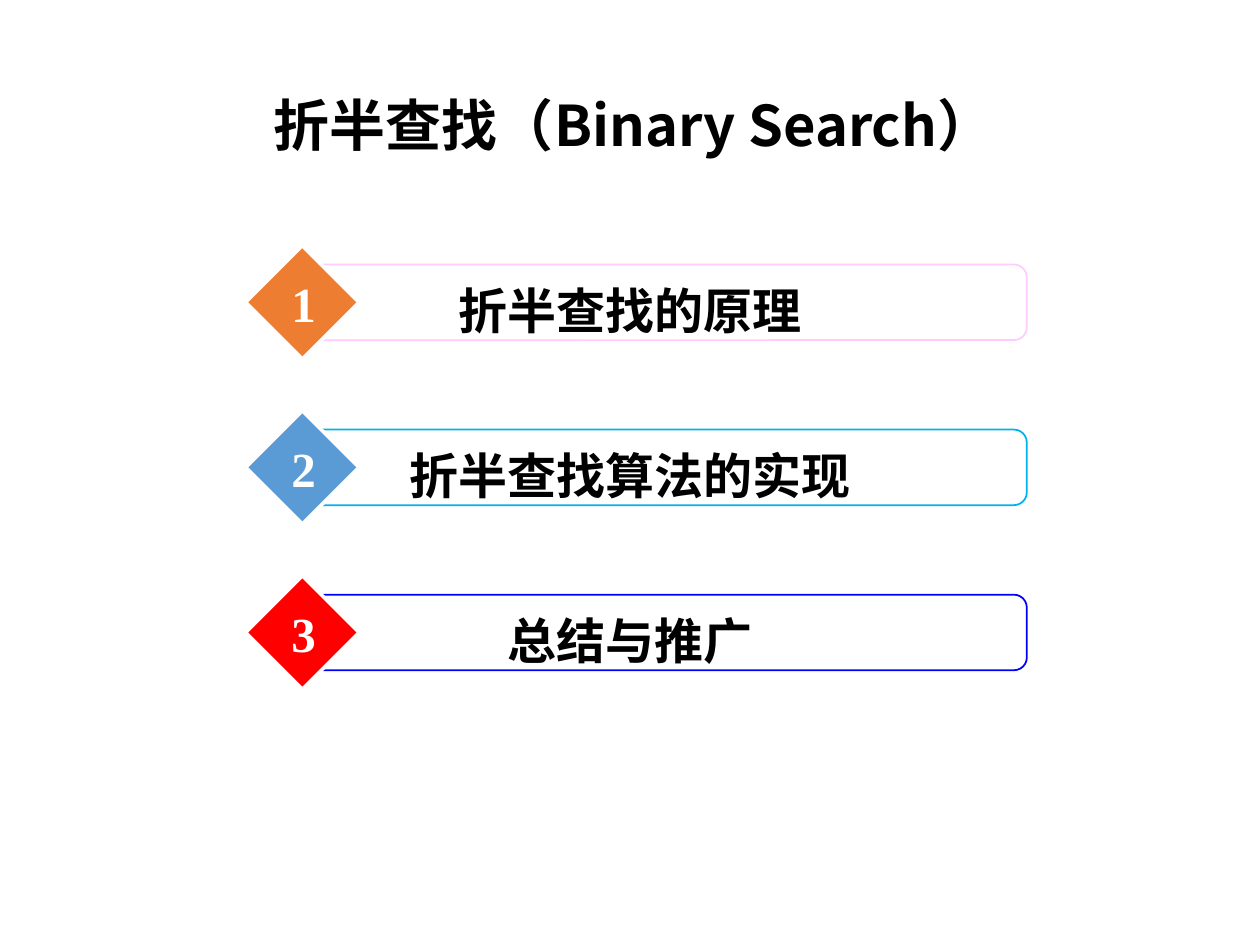
from pptx import Presentation, util as u
from pptx.dml.color import RGBColor
from pptx.enum import shapes, text
from pptx.oxml.ns import qn

COLORS = {"ink": "000000", "paper": "FFFFFF",
          "orange": "ED7D31", "pink": "FFCCFF",
          "blue": "5B9BD5", "sky": "00B0F0",
          "red": "FF0000", "navy": "0000FF"}
CJK, SERIF = "Noto Sans CJK SC", "Times New Roman"
TOPICS = [("折半查找的原理", "orange", "pink"),
          ("折半查找算法的实现", "blue", "sky"),
          ("总结与推广", "red", "navy")]


def rgb(name):
    """Return the named palette colour."""
    return RGBColor.from_string(COLORS[name])


def write(frame, words, size, face, color):
    """Write one centred bold run into a text frame."""
    line = frame.paragraphs[0]
    line.alignment = text.PP_ALIGN.CENTER
    run = line.add_run()
    run.text = words
    run.font.size, run.font.bold, run.font.name = u.Pt(size), True, face
    run.font.color.rgb = rgb(color)
    east_asian = run.font._element.makeelement(qn("a:ea"), {"typeface": CJK})
    run.font._element.find(qn("a:latin")).addnext(east_asian)
    return line


def add_outline(group, kind, box, fill, edge, weight):
    """Add a filled, outlined preset shape without a shadow."""
    outline = group.shapes.add_shape(kind, *map(u.Inches, box))
    outline.shadow.inherit = False
    outline.fill.solid()
    outline.fill.fore_color.rgb = rgb(fill)
    outline.line.color.rgb = rgb(edge)
    outline.line.width = u.Pt(weight)
    return outline


def add_label(group, box, words, color, wrap):
    """Add a text box that grows to fit its words."""
    frame = group.shapes.add_textbox(*map(u.Inches, box)).text_frame
    frame.word_wrap = wrap
    frame.auto_size = text.MSO_AUTO_SIZE.SHAPE_TO_FIT_TEXT
    write(frame, words, 28, SERIF, color)


def add_title(slide, box):
    """Fill the title placeholder within the given box."""
    title = slide.shapes.title
    title.left, title.top, title.width, title.height = map(u.Inches, box)
    title.text_frame.vertical_anchor = text.MSO_ANCHOR.MIDDLE
    line = write(title.text_frame, "折半查找（Binary Search）", 32, CJK, "ink")
    line.line_spacing = 0.9


def add_topic(slide, box, number, words, badge, border):
    """Build a numbered topic bar as a group inside the box."""
    left, top, width, height = box
    group = slide.shapes.add_group_shape()
    bar = add_outline(group, shapes.MSO_SHAPE.ROUNDED_RECTANGLE,
                      (left + 0.5, top + height / 6, width - 0.5, height * 2 / 3),
                      "paper", border, 1)
    bar.adjustments[0] = 0.17
    add_outline(group, shapes.MSO_SHAPE.DIAMOND, (left, top, height, height),
                badge, "paper", 2)
    add_label(group, (left + 0.8, top + 0.23, width - 1.7, 0.57), words, "ink", True)
    add_label(group, (left + 0.26, top + 0.17, 0.4, 0.57), str(number), "paper", False)


def main():
    """Build the agenda slide and save it."""
    deck = Presentation()
    deck.slide_width, deck.slide_height = u.Inches(10), u.Inches(7.5)
    slide = deck.slides.add_slide(deck.slide_layouts[5])
    add_title(slide, (0.25, 0.62, 9.56, 0.8))
    for row, (words, badge, border) in enumerate(TOPICS):
        add_topic(slide, (1.95, 1.95 + row * 1.31, 6.2, 0.9),
                  row + 1, words, badge, border)
    deck.save("out.pptx")


if __name__ == "__main__":
    main()
